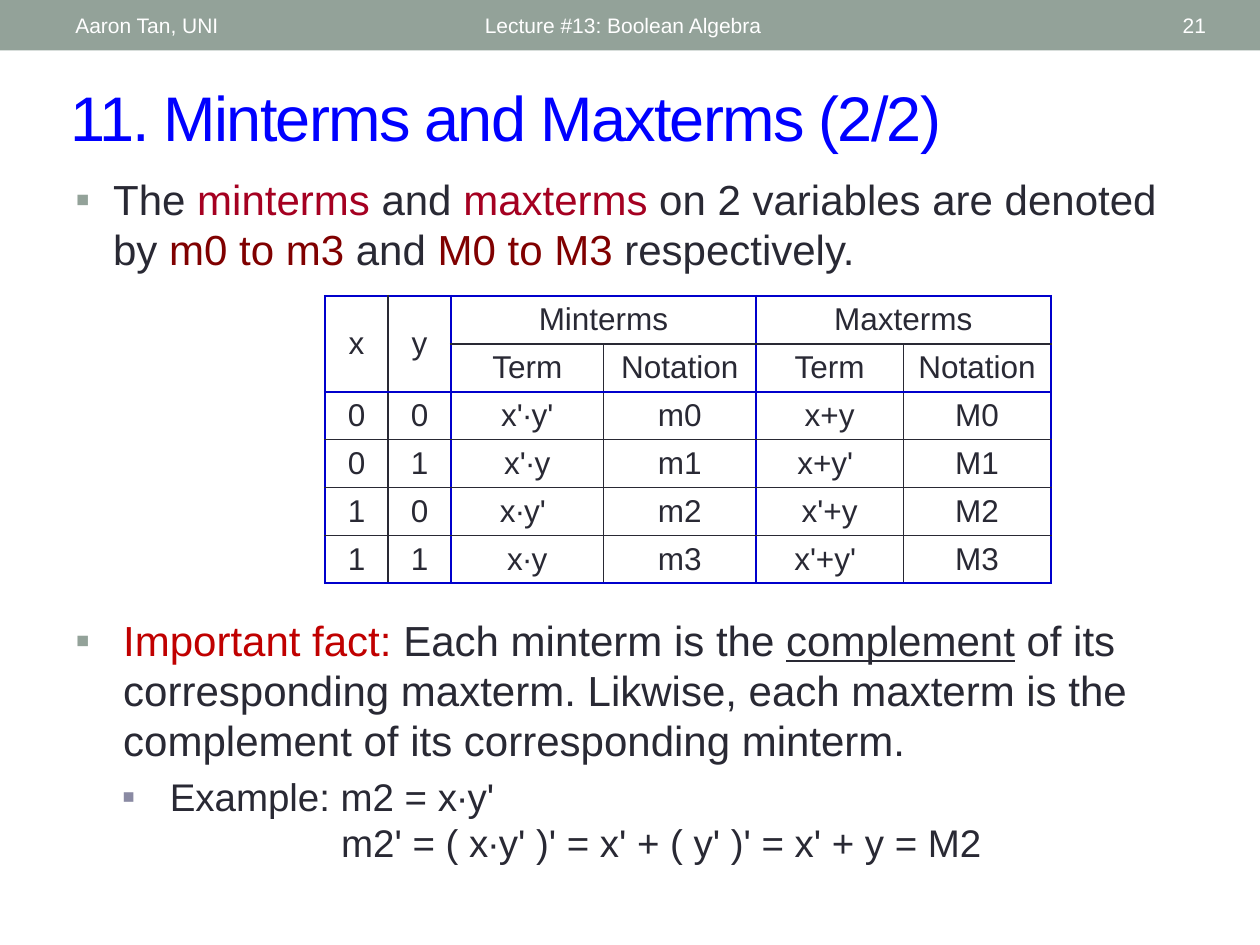
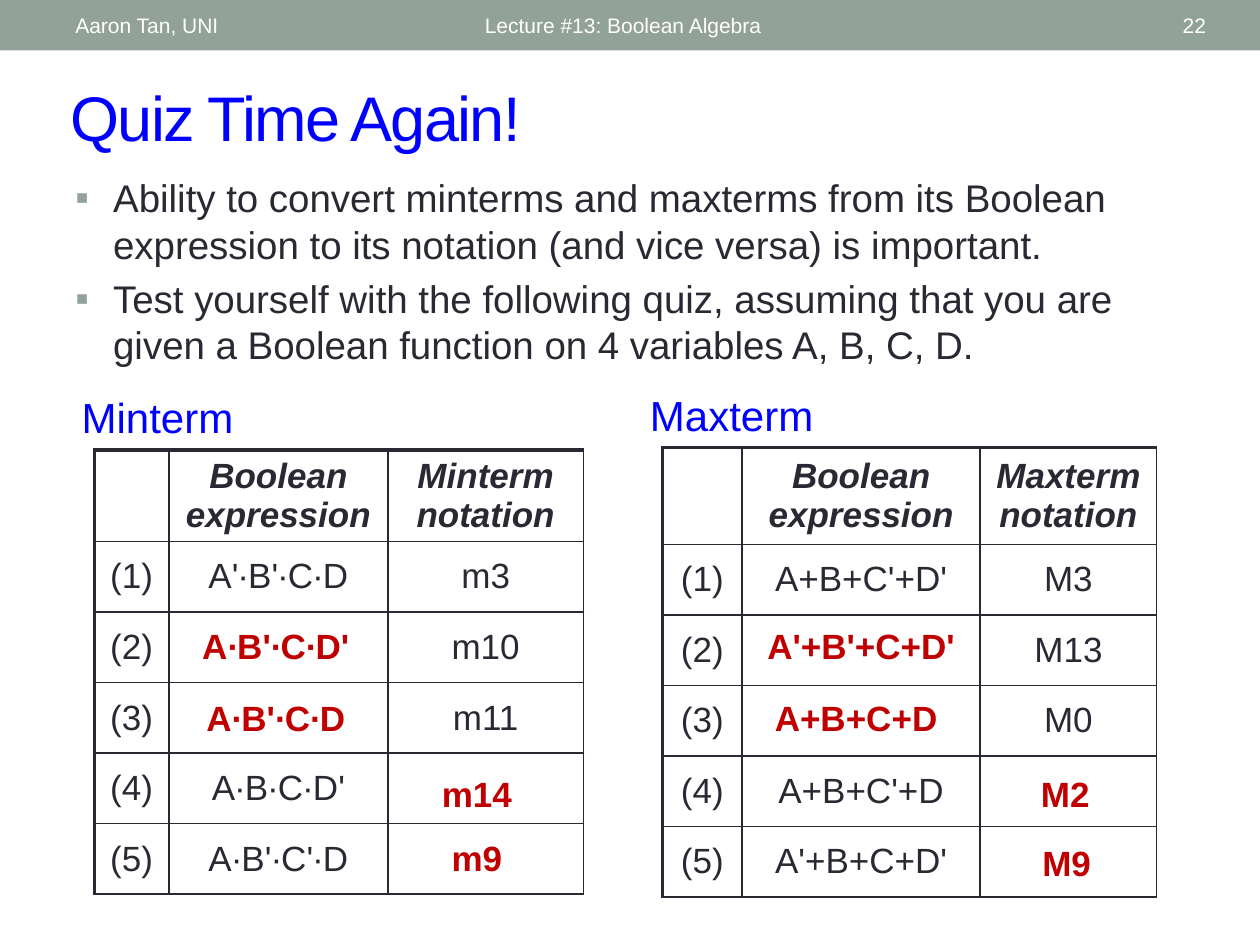
from dataclasses import dataclass

import lxml.etree
import pptx
import pptx.dml.color
import pptx.enum.shapes
import pptx.enum.text
import pptx.oxml.ns
import pptx.util
from pptx.util import Inches, Pt

Align = pptx.enum.text.PP_ALIGN
Anchor = pptx.enum.text.MSO_ANCHOR
qn = pptx.oxml.ns.qn

FONT = "Arial"
NO_TABLE_STYLE = "{2D5ABB26-0587-4C30-8999-92F81FD0307C}"
COLORS = {
    "band": "93A299",
    "sub_bullet": "8A8AA3",
    "white": "FFFFFF",
    "text": "292934",
    "heading": "0000FF",
    "rule": "0000CC",
    "term": "A50021",
    "notation": "800000",
    "answer": "C00000",
}


@dataclass(frozen=True)
class Span:
    text: str
    color: str = "text"
    underline: bool = False


@dataclass(frozen=True)
class Item:
    """One paragraph of body text; without a bullet it continues the one above."""
    spans: tuple[Span, ...]
    size: int
    line: float
    left: float
    hanging: float = 0
    bullet: str | None = None
    level: int = 0


@dataclass(frozen=True)
class Grid:
    left: float
    top: float
    columns: tuple[float, ...]
    rows: tuple[float, ...]
    cells: tuple[tuple[str, ...], ...]
    size: int
    heavy_columns: tuple[int, ...]
    heavy_rows: tuple[int, ...]
    heavy_color: str
    heavy_width: float
    margin: float
    merges: tuple[tuple[int, int, int, int], ...] = ()
    emphasized_header: bool = False


@dataclass(frozen=True)
class Answer:
    text: str
    left: float
    top: float
    width: float


def rgb(name: str) -> pptx.dml.color.RGBColor:
    return pptx.dml.color.RGBColor.from_string(COLORS[name])


def write(para, text: str, *, size: float, color: str = "text", bold: bool = False,
          italic: bool = False, underline: bool = False, spacing: int = 0) -> None:
    span = para.add_run()
    span.text = text
    font = span.font
    font.name, font.size = FONT, Pt(size)
    font.bold, font.italic, font.underline = bold, italic, underline
    font.color.rgb = rgb(color)
    if spacing:
        font._element.set("spc", str(spacing))


def add_box(page, left: float, top: float, width: float, height: float):
    box = page.shapes.add_textbox(Inches(left), Inches(top), Inches(width), Inches(height))
    box.text_frame.word_wrap = True
    return box.text_frame


def add_label(page, text: str, left: float, top: float, width: float, height: float, *,
              align=Align.LEFT, anchor=Anchor.TOP, **style) -> None:
    frame = add_box(page, left, top, width, height)
    frame.vertical_anchor = anchor
    frame.paragraphs[0].alignment = align
    write(frame.paragraphs[0], text, **style)


def add_page(deck, title: str, number: int):
    """Add a slide with the shared band, its three labels and the title."""
    page = deck.slides.add_slide(deck.slide_layouts[5])
    band = page.shapes.add_shape(pptx.enum.shapes.MSO_SHAPE.RECTANGLE,
                                 0, 0, deck.slide_width, Inches(0.4))
    band.shadow.inherit = False
    band.fill.solid()
    band.fill.fore_color.rgb = rgb("band")
    band.line.fill.background()

    for text, left, width, align in (
        ("Lecture #13: Boolean Algebra", 3.75, 4.5, Align.LEFT),
        (str(number), 8.72, 0.95, Align.RIGHT),
        ("Aaron Tan, UNI", 0.5, 3.17, Align.LEFT),
    ):
        add_label(page, text, left, 0.02, width, 0.36, align=align,
                  anchor=Anchor.MIDDLE, size=12, color="white")

    heading = page.shapes.title
    heading.left, heading.top = Inches(0.46), Inches(0.57)
    heading.width, heading.height = Inches(9.07), Inches(0.7)
    frame = heading.text_frame
    frame.auto_size = pptx.enum.text.MSO_AUTO_SIZE.NONE
    frame.vertical_anchor = Anchor.MIDDLE
    frame.paragraphs[0].alignment = Align.LEFT
    write(frame.paragraphs[0], title, size=36, color="heading", spacing=-100)
    return page


def set_bullet(para, item: Item) -> None:
    properties = para._p.get_or_add_pPr()
    properties.set("marL", str(Inches(item.left)))
    properties.set("indent", str(-Inches(item.hanging)))
    if item.bullet is None:
        lxml.etree.SubElement(properties, qn("a:buNone"))
        return
    color = lxml.etree.SubElement(properties, qn("a:buClr"))
    lxml.etree.SubElement(color, qn("a:srgbClr"), val=COLORS[item.bullet])
    lxml.etree.SubElement(properties, qn("a:buFont"), typeface=FONT)
    lxml.etree.SubElement(properties, qn("a:buChar"), char="▪")


def add_body(page, items: list[Item], top: float, width: float, height: float) -> None:
    frame = add_box(page, 0.5, top, width, height)
    for index, item in enumerate(items):
        para = frame.add_paragraph() if index else frame.paragraphs[0]
        para.level = item.level
        para.line_spacing = Pt(item.line)
        para.space_before = Pt(0.2 * item.size if index and item.bullet else 0)
        set_bullet(para, item)
        for span in item.spans:
            write(para, span.text, size=item.size, color=span.color, underline=span.underline)


def set_borders(cell, row: int, column: int, grid: Grid) -> None:
    """Draw the four sides, heavy where they lie on a heavy grid line."""
    last_row, last_column = row + 1, column + 1
    if cell.is_merge_origin:
        last_row, last_column = row + cell.span_height, column + cell.span_width
    sides = (
        ("a:lnL", column in grid.heavy_columns),
        ("a:lnR", last_column in grid.heavy_columns),
        ("a:lnT", row in grid.heavy_rows),
        ("a:lnB", last_row in grid.heavy_rows),
    )
    properties = cell._tc.get_or_add_tcPr()
    for index, (tag, heavy) in enumerate(sides):
        width = grid.heavy_width if heavy else 1
        line = properties.makeelement(qn(tag), {"w": str(Pt(width))})
        fill = lxml.etree.SubElement(line, qn("a:solidFill"))
        color = COLORS[grid.heavy_color if heavy else "text"]
        lxml.etree.SubElement(fill, qn("a:srgbClr"), val=color)
        properties.insert(index, line)


def add_grid(page, grid: Grid) -> None:
    table = page.shapes.add_table(
        len(grid.rows), len(grid.columns), Inches(grid.left), Inches(grid.top),
        Inches(sum(grid.columns)), Inches(sum(grid.rows))).table
    table.first_row = table.horz_banding = False
    table._tbl.tblPr.find(qn("a:tableStyleId")).text = NO_TABLE_STYLE
    for column, width in zip(table.columns, grid.columns):
        column.width = Inches(width)
    for row, height in zip(table.rows, grid.rows):
        row.height = Inches(height)
    for top, left, bottom, right in grid.merges:
        table.cell(top, left).merge(table.cell(bottom, right))

    for row, texts in enumerate(grid.cells):
        for column, text in enumerate(texts):
            cell = table.cell(row, column)
            cell.fill.background()
            if cell.is_spanned:
                continue
            set_borders(cell, row, column, grid)
            cell.vertical_anchor = Anchor.MIDDLE
            cell.margin_top = cell.margin_bottom = Inches(grid.margin)
            para = cell.text_frame.paragraphs[0]
            para.alignment = Align.CENTER
            header = grid.emphasized_header and row == 0
            if text:
                write(para, text, size=grid.size, bold=header, italic=header)
            else:
                para.font.size = Pt(grid.size)


def add_minterms_page(deck) -> None:
    page = add_page(deck, "11. Minterms and Maxterms (2/2)", 21)
    add_body(page, [Item((
        Span("The "), Span("minterms", "term"), Span(" and "), Span("maxterms", "term"),
        Span(" on 2 variables are denoted by "), Span("m0 to m3", "notation"),
        Span(" and "), Span("M0 to M3", "notation"), Span(" respectively."),
    ), 24, 28.6, 0.3, 0.3, "band")], 1.33, 8.83, 1)
    add_body(page, [
        Item((
            Span("Important fact: ", "answer"), Span("Each minterm is the "),
            Span("complement", underline=True),
            Span(" of its corresponding maxterm. Likwise, each maxterm is the "
                 "complement of its corresponding minterm."),
        ), 24, 28.6, 0.38, 0.38, "band"),
        Item((Span("Example: m2 = x∙y'"),), 22, 26.6, 0.75, 0.38, "sub_bullet", 1),
        Item((Span("m2' = ( x∙y' )' = x' + ( y' )' = x' + y = M2"),), 22, 26.6, 2.11, level=1),
    ], 4.83, 9, 2.35)
    add_grid(page, Grid(
        2.58, 2.35, (0.5, 0.5, 1.21, 1.21, 1.17, 1.17), (0.38,) * 6,
        (
            ("x", "y", "Minterms", "", "Maxterms", ""),
            ("", "", "Term", "Notation", "Term", "Notation"),
            ("0", "0", "x'∙y'", "m0", "x+y", "M0"),
            ("0", "1", "x'∙y", "m1", "x+y' ", "M1"),
            ("1", "0", "x∙y' ", "m2", "x'+y", "M2"),
            ("1", "1", "x∙y", "m3", "x'+y' ", "M3"),
        ),
        size=18, heavy_columns=(0, 2, 4, 6), heavy_rows=(0, 2, 6),
        heavy_color="rule", heavy_width=1.5, margin=0.04,
        merges=((0, 0, 1, 0), (0, 1, 1, 1), (0, 2, 0, 3), (0, 4, 0, 5))))


def add_quiz(page, name: str, left: float, top: float, columns: tuple[float, ...],
             header_height: float, questions: tuple[tuple[str, str], ...],
             answers: tuple[Answer, ...]) -> None:
    """Draw a heading, its question table and the answers over the open cells."""
    add_label(page, name, left - 0.2, top - 0.51, 1.54, 0.5, size=24, color="heading")
    numbered = tuple((f"({number})", *pair) for number, pair in enumerate(questions, 1))
    add_grid(page, Grid(
        left, top, columns, (header_height,) + (0.56,) * len(questions),
        (("", "Boolean expression", f"{name} notation"),) + numbered,
        size=20, heavy_columns=(0,), heavy_rows=(0,), heavy_color="text",
        heavy_width=2.25, margin=0.03, emphasized_header=True))
    for answer in answers:
        add_label(page, answer.text, answer.left, answer.top, answer.width, 0.44,
                  align=Align.CENTER, size=20, color="answer", bold=True)


def add_quiz_page(deck) -> None:
    page = add_page(deck, "Quiz Time Again!", 22)
    add_body(page, [Item((Span(text),), 22, 26.6, 0.3, 0.3, "band") for text in (
        "Ability to convert minterms and maxterms from its Boolean expression "
        "to its notation (and vice versa) is important.",
        "Test yourself with the following quiz, assuming that you are given "
        "a Boolean function on 4 variables A, B, C, D.",
    )], 1.33, 8.83, 1.71)
    add_quiz(
        page, "Minterm", 0.75, 3.57, (0.59, 1.74, 1.55), 0.71,
        (("A'∙B'∙C∙D", "m3"), ("", "m10"), ("", "m11"), ("A∙B∙C∙D'", ""), ("A∙B'∙C'∙D", "")),
        (Answer("A∙B'∙C∙D'", 1.36, 4.91, 1.66), Answer("A∙B'∙C∙D", 1.36, 5.48, 1.66),
         Answer("m14", 3.21, 6.08, 1.15), Answer("m9", 3.31, 6.59, 0.95)))
    add_quiz(
        page, "Maxterm", 5.26, 3.55, (0.63, 1.89, 1.4), 0.77,
        (("A+B+C'+D'", "M3"), ("", "M13"), ("", "M0"), ("A+B+C'+D", ""), ("A'+B+C+D'", "")),
        (Answer("A'+B'+C+D'", 5.87, 4.91, 1.93), Answer("A+B+C+D", 5.83, 5.48, 1.93),
         Answer("M2", 7.88, 6.08, 1.15), Answer("M9", 7.89, 6.63, 1.15)))


def main() -> None:
    deck = pptx.Presentation()
    deck.slide_width, deck.slide_height = Inches(10), Inches(7.5)
    add_minterms_page(deck)
    add_quiz_page(deck)
    deck.save("out.pptx")


if __name__ == "__main__":
    main()
